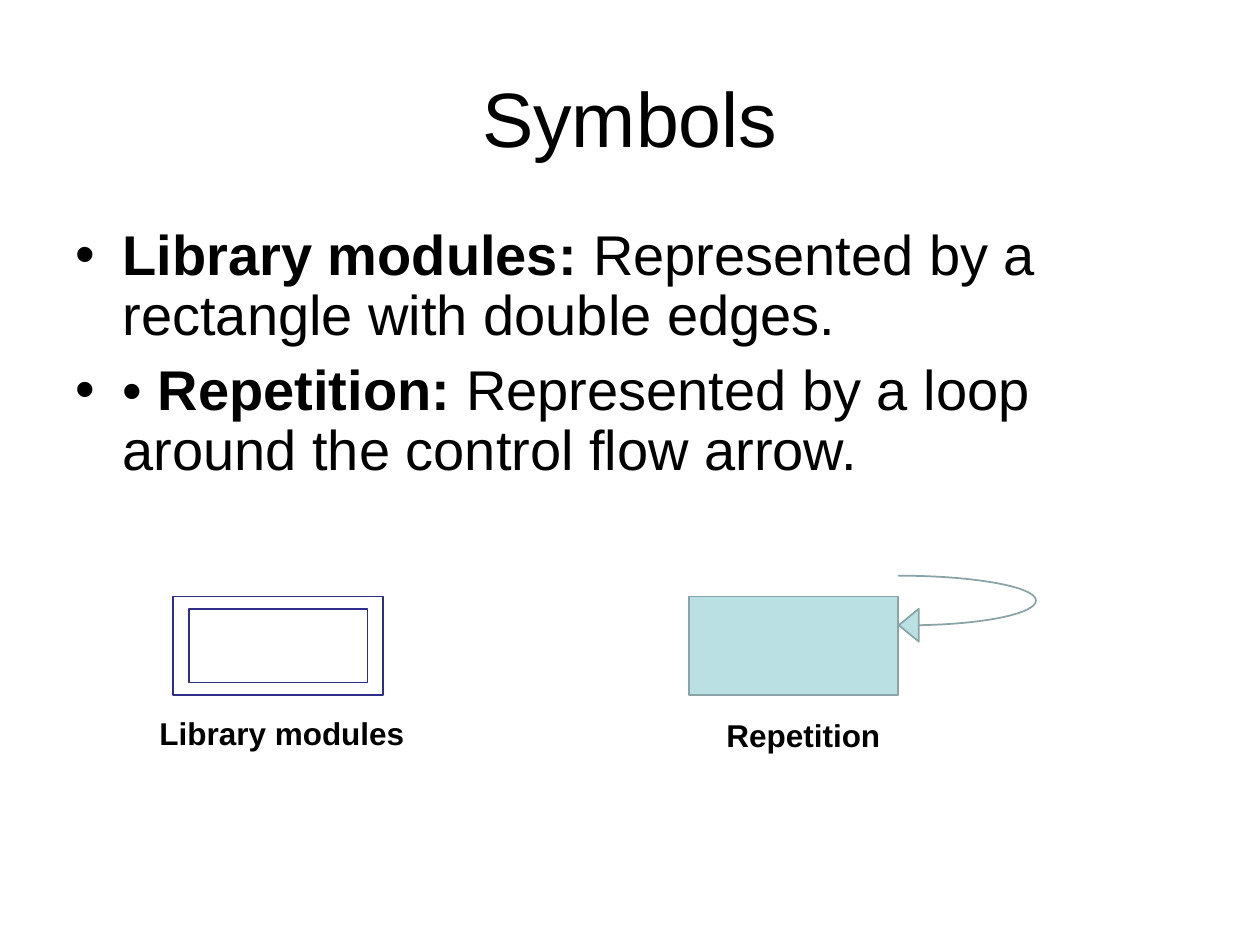
from lxml import etree
from pptx import Presentation
from pptx.dml.color import RGBColor
from pptx.enum.shapes import MSO_SHAPE
from pptx.enum.text import MSO_ANCHOR, MSO_AUTO_SIZE, PP_ALIGN
from pptx.oxml.ns import qn
from pptx.util import Pt

RECTANGLE = MSO_SHAPE.RECTANGLE
MIDDLE = MSO_ANCHOR.MIDDLE
CENTER = PP_ALIGN.CENTER
GROW = MSO_AUTO_SIZE.SHAPE_TO_FIT_TEXT


class Theme:
    font = "Arial"
    text = RGBColor(0x00, 0x00, 0x00)
    white = RGBColor(0xFF, 0xFF, 0xFF)
    navy = RGBColor(0x2D, 0x2D, 0x8A)
    teal = RGBColor(0xBB, 0xE0, 0xE3)
    teal_edge = RGBColor(0x89, 0xA4, 0xA7)
    title_size = Pt(44)
    body_size = Pt(32)
    label_size = Pt(18)


def add_text(paragraph, text, size, bold=False):
    run = paragraph.add_run()
    run.text = text
    run.font.name = Theme.font
    run.font.size = size
    run.font.bold = bold
    run.font.color.rgb = Theme.text


def style_shape(shape, fill, line):
    shape.shadow.inherit = False
    if fill is None:
        shape.fill.background()
    else:
        shape.fill.solid()
        shape.fill.fore_color.rgb = fill
    shape.line.color.rgb = line
    shape.line.width = Pt(1)


presentation = Presentation()
presentation.slide_width = Pt(720)
presentation.slide_height = Pt(540)
slide = presentation.slides.add_slide(presentation.slide_layouts[6])
shapes = slide.shapes

# Title
title = shapes.add_textbox(Pt(36), Pt(21.6), Pt(648), Pt(90)).text_frame
title.word_wrap = True
title.vertical_anchor = MIDDLE
title.paragraphs[0].alignment = CENTER
add_text(title.paragraphs[0], "Symbols", Theme.title_size)

# Bulleted definitions
definitions = [
    [("Library modules: ", True),
     ("Represented by a rectangle with double edges.", False)],
    [("• ", False), ("Repetition: ", True),
     ("Represented by a loop around the control flow arrow.", False)],
]
body = shapes.add_textbox(Pt(36), Pt(126), Pt(648), Pt(356.4)).text_frame
body.word_wrap = True
for index, parts in enumerate(definitions):
    paragraph = body.add_paragraph() if index else body.paragraphs[0]
    paragraph.line_spacing = 0.9
    paragraph.space_before = Pt(8 if index else 0)
    properties = paragraph._p.get_or_add_pPr()
    properties.set("marL", str(Pt(27)))
    properties.set("indent", str(-Pt(27)))
    bullet_color = etree.SubElement(properties, qn("a:buClr"))
    etree.SubElement(bullet_color, qn("a:srgbClr")).set("val", str(Theme.text))
    etree.SubElement(properties, qn("a:buFont")).set("typeface", Theme.font)
    etree.SubElement(properties, qn("a:buChar")).set("char", "•")
    for text, bold in parts:
        add_text(paragraph, text, Theme.body_size, bold)

# Double-edged library box and plain repetition box
boxes = [
    (108, 348, 102, 42, Theme.white, Theme.navy),
    (99, 340.8, 120, 56.2, None, Theme.navy),
    (393.6, 340.8, 119.8, 56.2, Theme.teal, Theme.teal_edge),
]
for left, top, width, height, fill, line in boxes:
    box = shapes.add_shape(RECTANGLE, Pt(left), Pt(top), Pt(width), Pt(height))
    style_shape(box, fill, line)

# Loop arrow: out along the curve, round the head and back again
left, top = 513.6, 329
start, bend, neck = (left, top), (592, 343.2), (525.1, 357.3)
head = [(neck[0], 366.7), (left, 357.3), (neck[0], 347.9)]
upper = [(556.9, top), (592, 335.4)]
lower = [(592, 350.6), (562.7, 356.7)]
corners = [bend, neck, *head, neck, bend, start]
builder = shapes.build_freeform(Pt(left), Pt(top), scale=1.0)
builder.add_line_segments([(Pt(x), Pt(y)) for x, y in corners], close=True)
loop = builder.convert_to_shape()
style_shape(loop, Theme.teal, Theme.teal_edge)

# Bend the straight parts of the loop, by segment number
curves = {0: upper, 1: lower, 6: lower[::-1], 7: upper[::-1]}
segments = list(loop._element.iter(qn("a:lnTo")))
for number, controls in curves.items():
    segment = segments[number]
    curve = etree.Element(qn("a:cubicBezTo"))
    for x, y in controls:
        point = etree.SubElement(curve, qn("a:pt"))
        point.set("x", str(Pt(x) - Pt(left)))
        point.set("y", str(Pt(y) - Pt(top)))
    curve.append(segment[0])
    segment.getparent().replace(segment, curve)

# Labels under the symbols
labels = [("Library modules", 84, 406.8), ("Repetition", 408, 407.8)]
for text, left, top in labels:
    label = shapes.add_textbox(Pt(left), Pt(top), Pt(198), Pt(26.6)).text_frame
    label.word_wrap = True
    label.auto_size = GROW
    label.paragraphs[0].line_spacing = 0.9
    add_text(label.paragraphs[0], text, Theme.label_size, True)

presentation.save("out.pptx")
